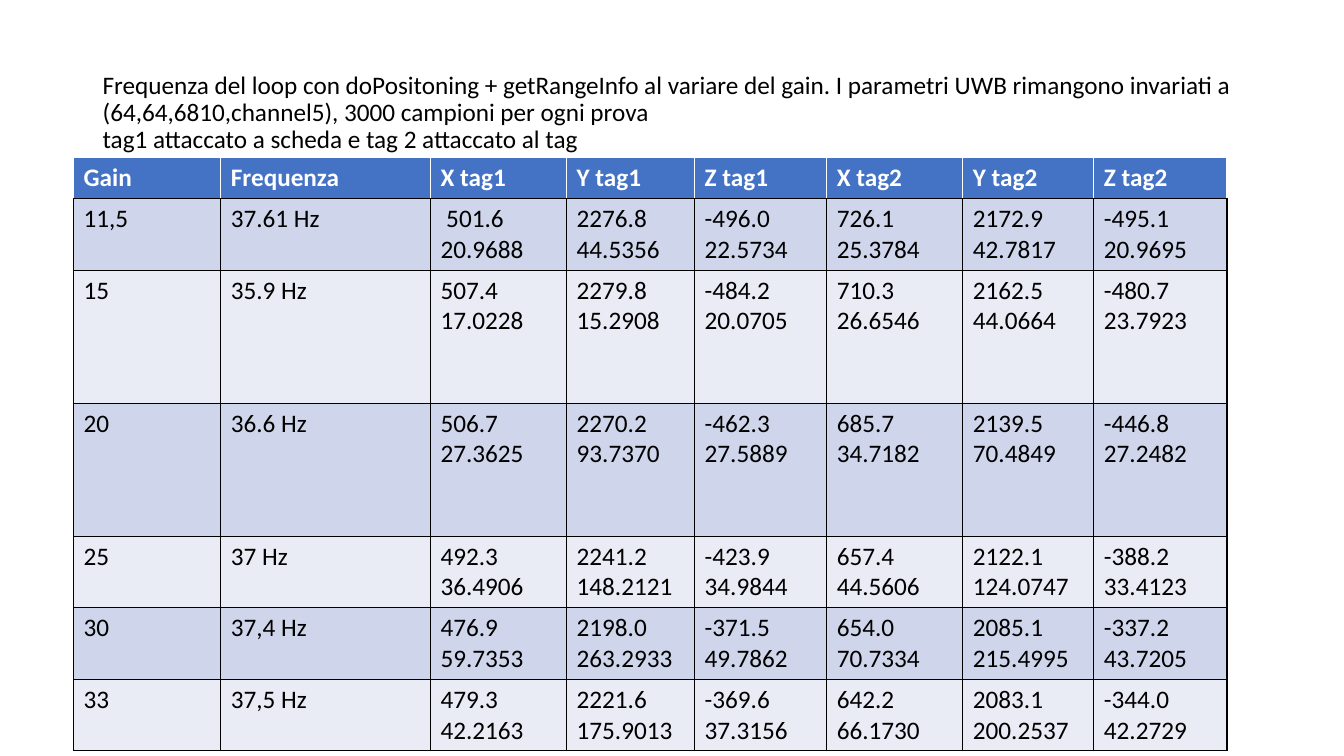
from lxml import etree
from pptx import Presentation
from pptx.dml.color import RGBColor
from pptx.enum.text import MSO_ANCHOR
from pptx.oxml.ns import qn
from pptx.util import Inches, Pt

MIDDLE = MSO_ANCHOR.MIDDLE
COLORS = {"head": "4472C4", "odd": "CFD5EA", "even": "E9EBF5",
          "black": "000000", "white": "FFFFFF"}
FONT = {"name": "Calibri", "size": Pt(18)}


def style(para, color, bold=False):
    for key, val in {**FONT, "bold": bold}.items():
        setattr(para.font, key, val)
    para.font.color.rgb = RGBColor.from_string(COLORS[color])


def border(cell, sides):
    props = cell._tc.get_or_add_tcPr()
    for spot, (side, color) in enumerate(sides.items()):
        line = etree.Element(qn("a:ln" + side), w=str(Pt(1)))
        fill = etree.SubElement(line, qn("a:solidFill"))
        etree.SubElement(fill, qn("a:srgbClr"), val=COLORS[color])
        props.insert(spot, line)


deck = Presentation()
deck.slide_width = Inches(13.33)
deck.slide_height = Inches(7.5)
slide = deck.slides.add_slide(deck.slide_layouts[6])

title = slide.shapes.add_textbox(Inches(0.92), Inches(0.4), Inches(11.5), Inches(1.45))
frame = title.text_frame
frame.word_wrap = True
frame.vertical_anchor = MIDDLE
frame.text = (
    "Frequenza del loop con doPositoning + getRangeInfo al variare del gain. "
    "I parametri UWB rimangono invariati a (64,64,6810,channel5), "
    "3000 campioni per ogni prova\v"
    "tag1 attaccato a scheda e tag 2 attaccato al tag"
)
frame.paragraphs[0].line_spacing = 0.9
style(frame.paragraphs[0], "black")

rows = [
    ["Gain", "Frequenza", "X tag1", "Y tag1", "Z tag1", "X tag2", "Y tag2", "Z tag2"],
    ["11,5", "37.61 Hz", " 501.6\n20.9688", "2276.8\n44.5356", "-496.0\n22.5734",
     "726.1\n25.3784", "2172.9\n42.7817", "-495.1\n20.9695"],
    ["15", "35.9 Hz", "507.4\n17.0228", "2279.8\n15.2908", "-484.2\n20.0705",
     "710.3\n26.6546", "2162.5\n44.0664", "-480.7\n23.7923"],
    ["20", "36.6 Hz", "506.7\n27.3625", "2270.2\n93.7370", "-462.3\n27.5889",
     "685.7\n34.7182", "2139.5\n70.4849", "-446.8\n27.2482"],
    ["25", "37 Hz", "492.3\n36.4906", "2241.2\n148.2121", "-423.9\n34.9844",
     "657.4\n44.5606", "2122.1\n124.0747", "-388.2\n33.4123"],
    ["30", "37,4 Hz", "476.9\n59.7353", "2198.0\n263.2933", "-371.5\n49.7862",
     "654.0\n70.7334", "2085.1\n215.4995", "-337.2\n43.7205"],
    ["33", "37,5 Hz", "479.3\n42.2163", "2221.6\n175.9013", "-369.6\n37.3156",
     "642.2\n66.1730", "2083.1\n200.2537", "-344.0\n42.2729"],
]
widths = [1.46, 2.08, 1.35, 1.27, 1.31, 1.35, 1.3, 1.32]
heights = [0.41, 0.71, 1.32, 1.32, 0.71, 0.71, 0.71]

table = slide.shapes.add_table(
    len(rows), len(widths), Inches(0.73), Inches(1.56),
    Inches(sum(widths)), Inches(sum(heights))).table
for col, width in zip(table.columns, widths):
    col.width = Inches(width)
for row, height in zip(table.rows, heights):
    row.height = Inches(height)

for r, texts in enumerate(rows):
    head = r == 0
    band = "head" if head else "odd" if r % 2 else "even"
    edge = "white" if head else "black"
    for c, text in enumerate(texts):
        cell = table.cell(r, c)
        cell.text = text
        cell.fill.solid()
        cell.fill.fore_color.rgb = RGBColor.from_string(COLORS[band])
        border(cell, {"L": edge, "R": edge, "T": edge, "B": "black"})
        for para in cell.text_frame.paragraphs:
            style(para, "white" if head else "black", head)

deck.save("out.pptx")
